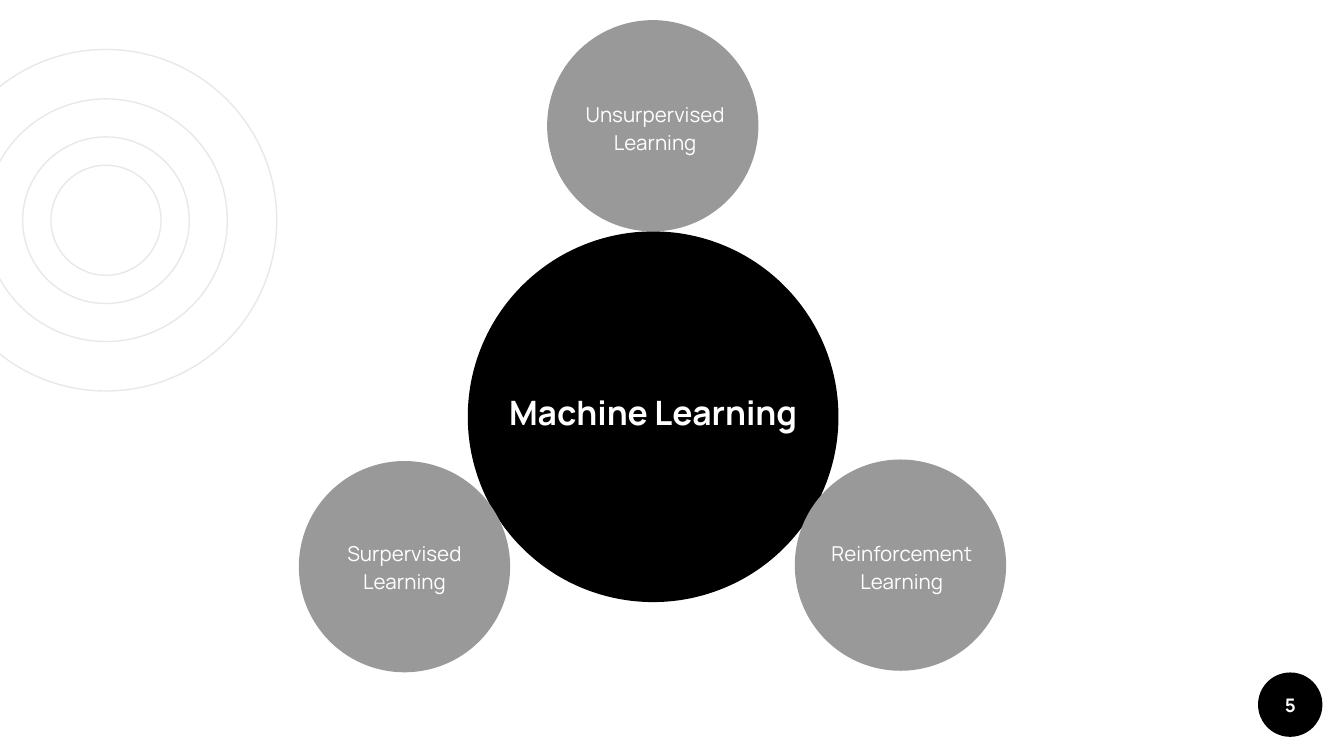
import pptx
import pptx.dml.color
import pptx.enum.shapes
import pptx.enum.text
import pptx.util

Pt = pptx.util.Pt


def color(value):
    return pptx.dml.color.RGBColor.from_string(value)


class SlideBuilder:
    font_name = "Manrope"
    black, gray, white, ring_gray = "000000", "999999", "FFFFFF", "E8E8E8"
    inset = 7.2

    def __init__(self, slide):
        self.slide = slide
        background = slide.background.fill
        background.solid()
        background.fore_color.rgb = color(self.white)

    @staticmethod
    def box(center, width, height):
        """Turn a center and a size into left, top, width and height."""
        x, y = center
        return [Pt(v) for v in (x - width / 2, y - height / 2, width, height)]

    def circle(self, center, diameter, fill=None, line=None):
        disc = self.slide.shapes.add_shape(
            pptx.enum.shapes.MSO_SHAPE.OVAL, *self.box(center, diameter, diameter))
        disc.shadow.inherit = False
        if fill:
            disc.fill.solid()
            disc.fill.fore_color.rgb = color(fill)
        else:
            disc.fill.background()
        if line:
            disc.line.color.rgb = color(line)
            disc.line.width = Pt(0.75)
        else:
            disc.line.fill.background()

    def label(self, text, center, width, height, size, bold=False, spacing=1.15):
        frame = self.slide.shapes.add_textbox(*self.box(center, width, height)).text_frame
        frame_format = {"word_wrap": True,
                        "vertical_anchor": pptx.enum.text.MSO_ANCHOR.MIDDLE}
        for side in ("left", "top", "right", "bottom"):
            frame_format["margin_" + side] = Pt(self.inset)
        for name, value in frame_format.items():
            setattr(frame, name, value)
        paragraph = frame.paragraphs[0]
        paragraph.alignment = pptx.enum.text.PP_ALIGN.CENTER
        paragraph.line_spacing = spacing
        run = paragraph.add_run()
        run.text = text
        for name, value in {"name": self.font_name, "size": Pt(size), "bold": bold}.items():
            setattr(run.font, name, value)
        run.font.color.rgb = color(self.white)


def main():
    deck = pptx.Presentation()
    deck.slide_width, deck.slide_height = Pt(720), Pt(405)
    builder = SlideBuilder(deck.slides.add_slide(deck.slide_layouts[6]))

    for diameter in (183, 130, 89.3, 59):
        builder.circle((56.8, 118), diameter, line=builder.ring_gray)

    page_center = (691.2, 377.5)
    builder.circle(page_center, 34.5, fill=builder.black)
    builder.label("5", page_center, 34.5, 34.5, 10, bold=True, spacing=1.0)

    builder.circle((349.9, 223.3), 198.6, fill=builder.black)
    builder.label("Machine Learning", (349.9, 219.2), 181.4, 33.8, 18, bold=True)

    branches = [
        ("Unsurpervised Learning", (349.7, 67.4), (351, 67.7), 97.2, 77.8),
        ("Surpervised Learning", (216.7, 303.6), (216.7, 302.8), 106.6, 32.4),
        ("Reinforcement Learning", (482.4, 302.8), (483.1, 302.8), 106.6, 32.4),
    ]
    for text, center, label_center, width, height in branches:
        builder.circle(center, 113.2, fill=builder.gray)
        builder.label(text, label_center, width, height, 11)

    deck.save("out.pptx")


if __name__ == "__main__":
    main()
